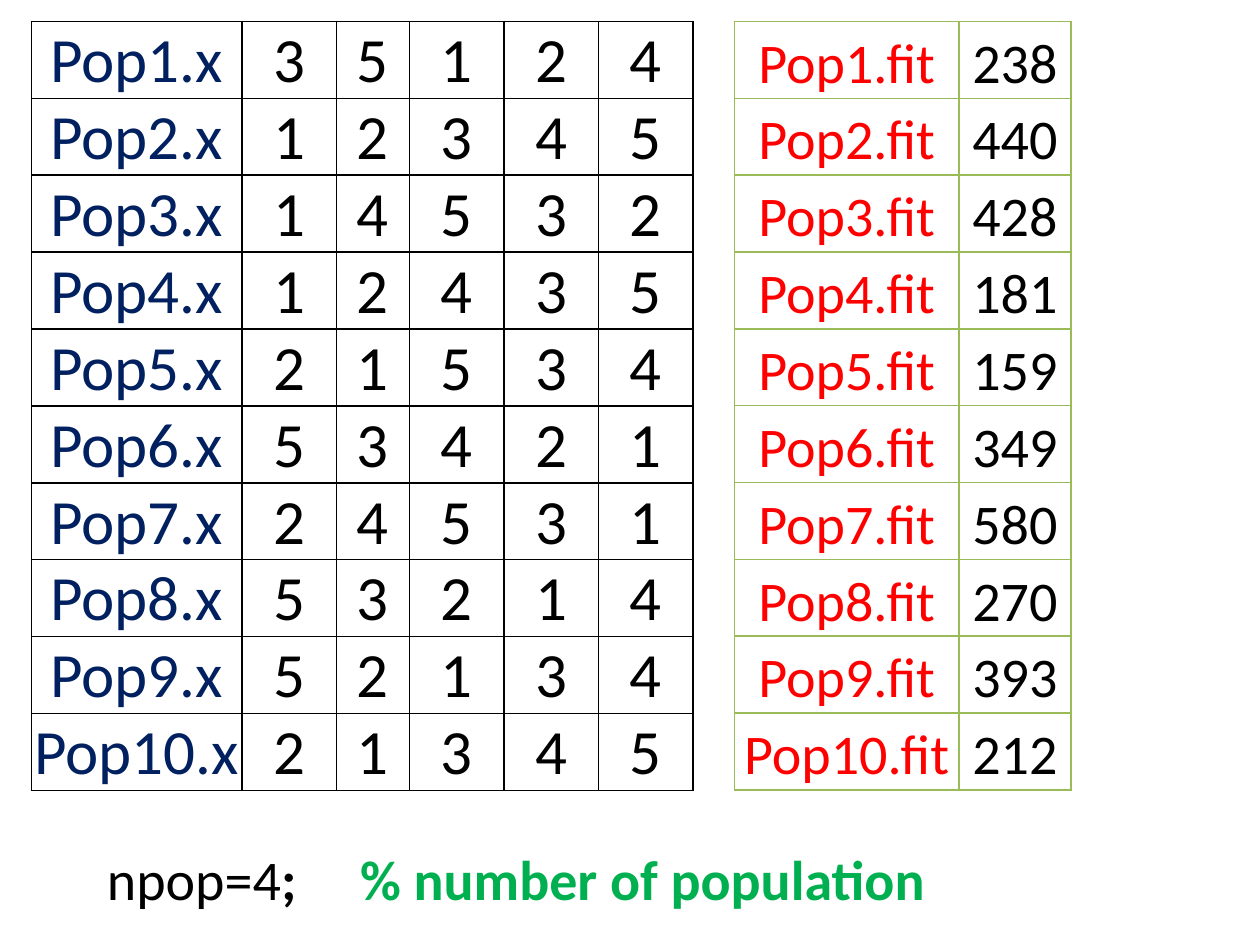
import pptx
import pptx.dml.color
import pptx.enum.text
import pptx.oxml
import pptx.oxml.ns
import pptx.util

Inches = pptx.util.Inches
FONT = "Calibri"
BLACK, NAVY, RED, GREEN, OLIVE = "000000", "002060", "FF0000", "00B050", "9BBB59"
NS = pptx.oxml.ns.nsdecls("a")

CHROMOSOMES = ["35124", "12345", "14532", "12435", "21534",
               "53421", "24531", "53214", "52134", "21345"]
FITNESS = [238, 440, 428, 181, 159, 349, 580, 270, 393, 212]


def rgb(value):
    return pptx.dml.color.RGBColor.from_string(value)


def add_text(paragraph, text, size=32, color=BLACK, bold=False):
    run = paragraph.add_run()
    run.text = text
    run.font.name = FONT
    run.font.size = pptx.util.Pt(size)
    run.font.bold = bold
    run.font.color.rgb = rgb(color)


def set_borders(cell, color, width=1):
    properties = cell._tc.get_or_add_tcPr()
    for side in ("lnL", "lnR", "lnT", "lnB"):
        properties.append(pptx.oxml.parse_xml(
            f'<a:{side} {NS} w="{pptx.util.Pt(width)}"><a:solidFill>'
            f'<a:srgbClr val="{color}"/></a:solidFill></a:{side}>'))


def add_population_table(slide, left, top, row_height, widths, rows, size, label_color, border):
    """Grid whose first column holds coloured row labels."""
    grid = slide.shapes.add_table(
        len(rows), len(widths), Inches(left), Inches(top),
        Inches(sum(widths)), Inches(row_height * len(rows))).table
    grid.first_row = grid.horz_banding = False
    for column, width in zip(grid.columns, widths):
        column.width = Inches(width)
    for r, row in enumerate(rows):
        grid.rows[r].height = Inches(row_height)
        for c, value in enumerate(row):
            cell = grid.cell(r, c)
            cell.margin_left = cell.margin_right = cell.margin_top = Inches(0.01)
            cell.margin_bottom = 0
            cell.vertical_anchor = pptx.enum.text.MSO_ANCHOR.BOTTOM
            set_borders(cell, border)
            cell.fill.background()
            paragraph = cell.text_frame.paragraphs[0]
            paragraph.alignment = pptx.enum.text.PP_ALIGN.CENTER
            add_text(paragraph, str(value), size=size,
                     color=BLACK if c else label_color)


def add_code_line(slide, left, top, width, height, comment_offset):
    """Code statement with its comment set at a tab stop."""
    frame = slide.shapes.add_textbox(
        Inches(left), Inches(top), Inches(width), Inches(height)).text_frame
    frame.word_wrap = True
    frame.auto_size = pptx.enum.text.MSO_AUTO_SIZE.SHAPE_TO_FIT_TEXT
    statement = frame.paragraphs[0]
    statement._p.get_or_add_pPr().append(pptx.oxml.parse_xml(
        f'<a:tabLst {NS}><a:tab pos="{Inches(comment_offset)}" algn="l"/></a:tabLst>'))
    add_text(statement, "npop=4")
    add_text(statement, ";\t", bold=True)
    add_text(statement, "% number of population", color=GREEN, bold=True)


presentation = pptx.Presentation()
presentation.slide_width, presentation.slide_height = Inches(10), Inches(7.5)
slide = presentation.slides.add_slide(presentation.slide_layouts[6])

# Statement under the tables
add_code_line(slide, 0.75, 6.65, 8.92, 0.64, comment_offset=2.01)

# Chromosomes of each individual
add_population_table(
    slide, 0.25, 0.17, 0.61, [1.67, 0.75, 0.58, 0.75, 0.75, 0.75],
    [[f"Pop{i}.x", *genes] for i, genes in enumerate(CHROMOSOMES, 1)],
    size=36, label_color=NAVY, border=BLACK)

# Fitness of each individual
add_population_table(
    slide, 5.83, 0.17, 0.61, [1.78, 0.89],
    [[f"Pop{i}.fit", fit] for i, fit in enumerate(FITNESS, 1)],
    size=32, label_color=RED, border=OLIVE)

presentation.save("out.pptx")
